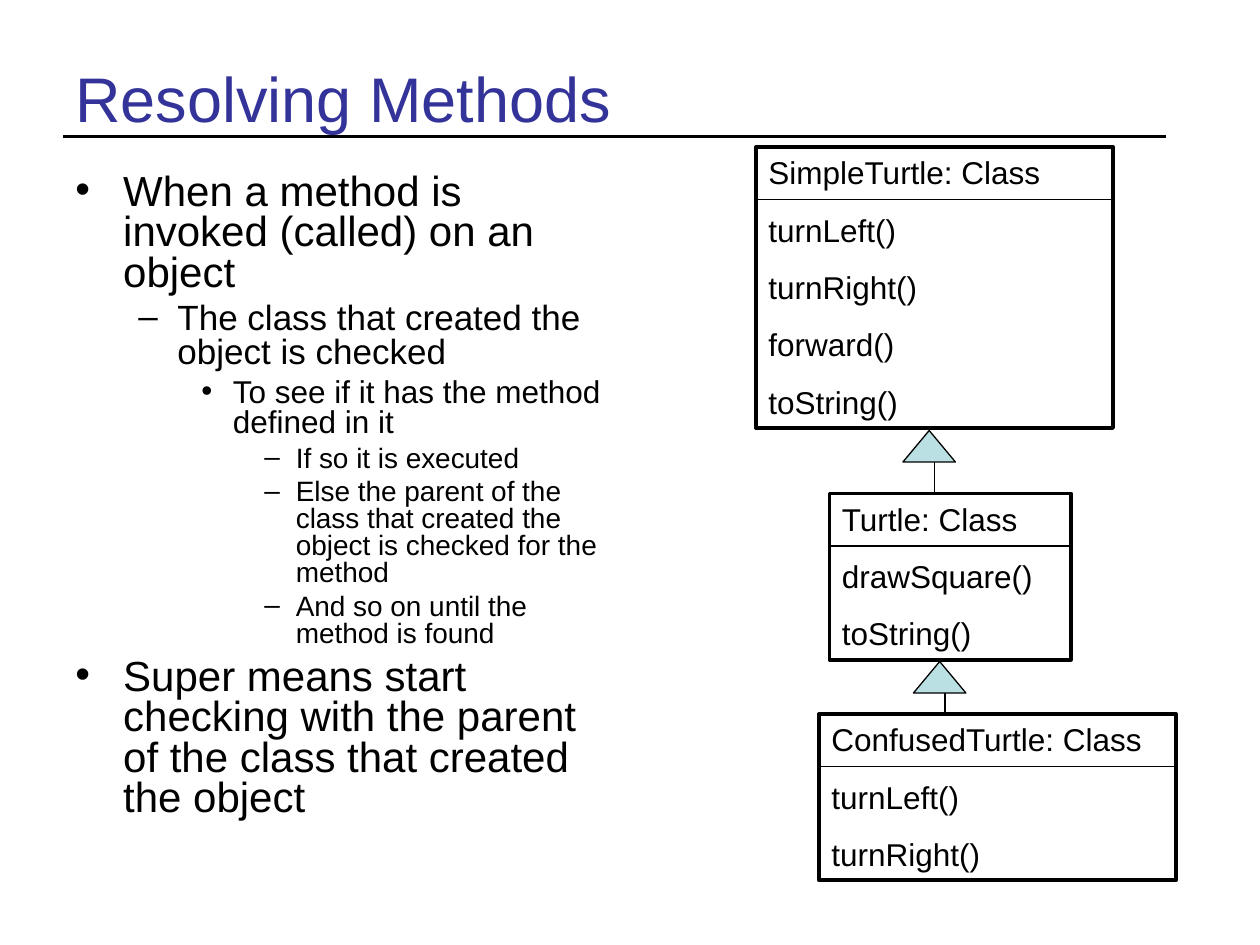
"""Build a slide on resolving methods, with a class diagram, on a grid of 12 cells to the inch."""
import pptx
import pptx.dml.color
import pptx.enum.shapes
import pptx.enum.text
import pptx.oxml
import pptx.oxml.ns
import pptx.util

CELL = pptx.util.Inches(1) // 12
BLACK = "000000"
Shape = pptx.enum.shapes.MSO_SHAPE


def paint(fill, colour):
    fill.solid()
    fill.fore_color.rgb = pptx.dml.color.RGBColor.from_string(colour)


def add_line(shapes, ends, width):
    line = shapes.add_connector(
        pptx.enum.shapes.MSO_CONNECTOR.STRAIGHT, *[round(cells * CELL) for cells in ends]
    )
    paint(line.line.fill, BLACK)
    line.line.width = pptx.util.Pt(width)
    properties = line._element.spPr
    properties.append(properties.makeelement(pptx.oxml.ns.qn("a:effectLst"), {}))


presentation = pptx.Presentation()
presentation.slide_width = 120 * CELL
presentation.slide_height = 90 * CELL
slide = presentation.slides.add_slide(presentation.slide_layouts[6])
shapes = slide.shapes

add_line(shapes, (6, 13, 111, 13), 1.5)

title = shapes.add_textbox(*[round(cells * CELL) for cells in (6, 3.6, 108, 11.4)])
title.text_frame.word_wrap = True
title.text_frame.vertical_anchor = pptx.enum.text.MSO_ANCHOR.MIDDLE
title.text_frame.text = "Resolving Methods"
title_font = title.text_frame.paragraphs[0].font
title_font.name = "Arial"
title_font.size = pptx.util.Pt(36)
paint(title_font.fill, "333399")

levels = [(24, 0.38, 0.38, "•"), (20, 0.81, 0.31, "–"), (18, 1.25, 0.25, "•"), (16, 1.75, 0.25, "–")]
points = [
    (0, "When a method is invoked (called) on an object"),
    (1, "The class that created the object is checked"),
    (2, "To see if it has the method defined in it"),
    (3, "If so it is executed"),
    (3, "Else the parent of the class that created the object is checked for the method"),
    (3, "And so on until the method is found"),
    (0, "Super means start checking with the parent of the class that created the object"),
]
body = shapes.add_textbox(*[round(cells * CELL) for cells in (6, 16, 53, 64.4)])
body.text_frame.word_wrap = True
body.text_frame.text = "\n".join(text for level, text in points)
for paragraph, (level, text) in zip(body.text_frame.paragraphs, points):
    size, margin, hanging, bullet = levels[level]
    paragraph.level = level
    paragraph.line_spacing = 0.8
    paragraph.space_before = pptx.util.Pt(size / 4)
    properties = paragraph._p.get_or_add_pPr()
    properties.set("marL", str(pptx.util.Inches(margin)))
    properties.set("indent", str(-pptx.util.Inches(hanging)))
    namespace = pptx.oxml.ns.nsdecls("a")
    for markup in (
        f'<a:buClr {namespace}><a:srgbClr val="{BLACK}"/></a:buClr>',
        f'<a:buFont {namespace} typeface="Arial"/>',
        f'<a:buChar {namespace} char="{bullet}"/>',
    ):
        properties.append(pptx.oxml.parse_xml(markup))
    paragraph.font.name = "Arial"
    paragraph.font.size = pptx.util.Pt(size)
    paint(paragraph.font.fill, BLACK)

classes = [
    (79, 47, 23, ["Turtle: Class", "drawSquare()", "toString()"]),
    (72, 14, 34, ["SimpleTurtle: Class", "turnLeft()", "turnRight()", "forward()", "toString()"]),
    (78, 68, 34, ["ConfusedTurtle: Class", "turnLeft()", "turnRight()"]),
]
for left, top, width, entries in classes:
    height = 5.46 * len(entries) - 0.54
    box = shapes.add_shape(Shape.RECTANGLE, *[round(cells * CELL) for cells in (left, top, width, height)])
    box.shadow.inherit = False
    box.fill.background()
    paint(box.line.fill, BLACK)
    box.line.width = pptx.util.Pt(2.25)
    frame = box.text_frame
    frame.word_wrap = True
    frame.auto_size = pptx.enum.text.MSO_AUTO_SIZE.SHAPE_TO_FIT_TEXT
    frame.vertical_anchor = pptx.enum.text.MSO_ANCHOR.TOP
    frame.text = "\n".join(entries)
    for paragraph in frame.paragraphs:
        paragraph.alignment = pptx.enum.text.PP_ALIGN.LEFT
        paragraph.space_before = pptx.util.Pt(11.2)
        paragraph.font.name = "Arial"
        paragraph.font.size = pptx.util.Pt(18)
        paint(paragraph.font.fill, BLACK)
    add_line(shapes, (left, top + 5, left + width, top + 5), 0.75)

for left, top, child_top in [(86, 41, 47), (87, 63, 68)]:
    add_line(shapes, (left + 3, child_top, left + 3, top + 3), 0.75)
    arrow = shapes.add_shape(Shape.ISOSCELES_TRIANGLE, left * CELL, top * CELL, 5 * CELL, 3 * CELL)
    arrow.shadow.inherit = False
    paint(arrow.fill, "BBE0E3")
    paint(arrow.line.fill, BLACK)
    arrow.line.width = pptx.util.Pt(0.75)

presentation.save("out.pptx")
